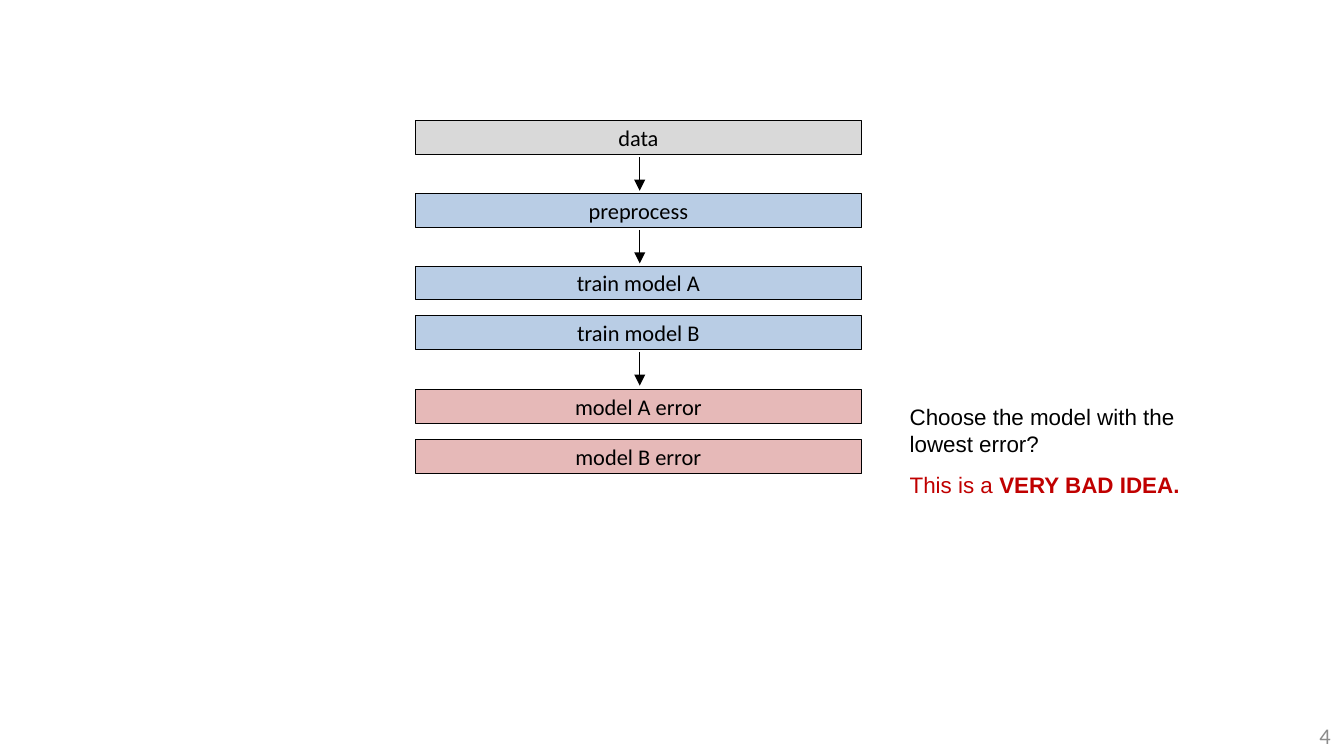
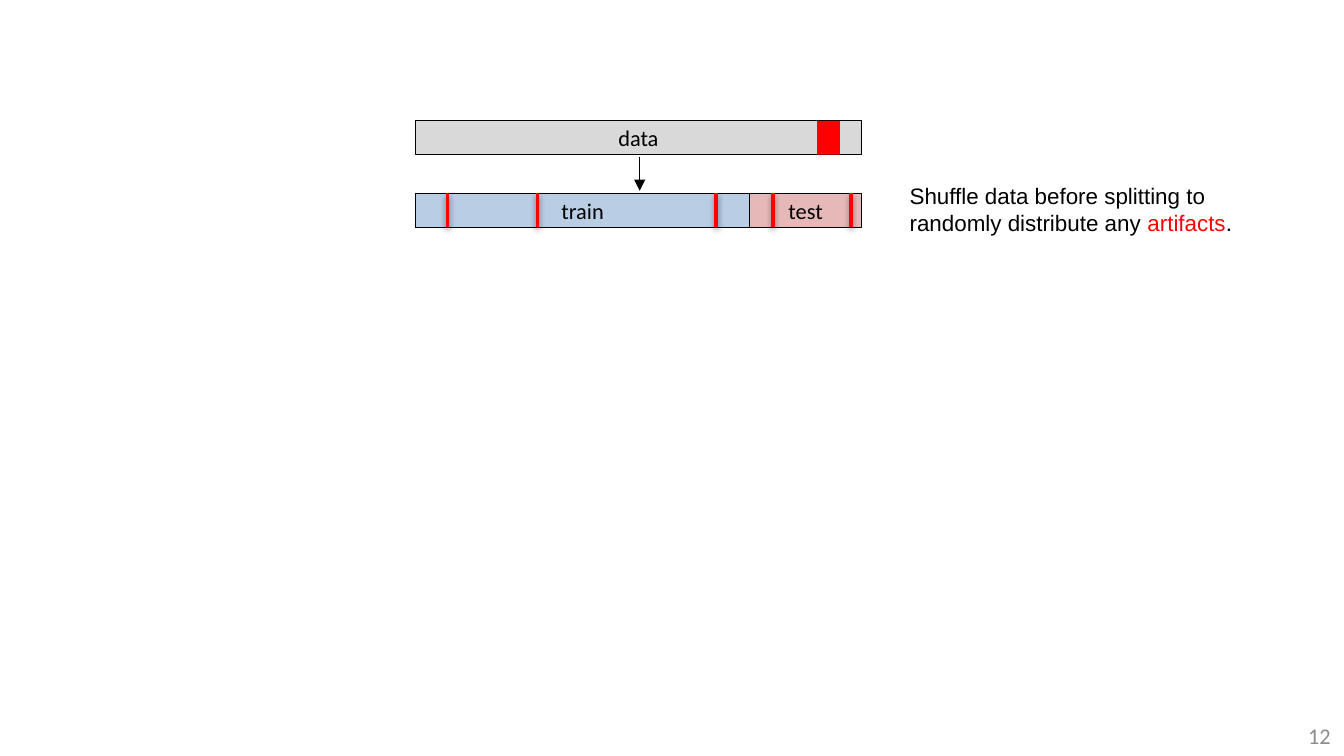
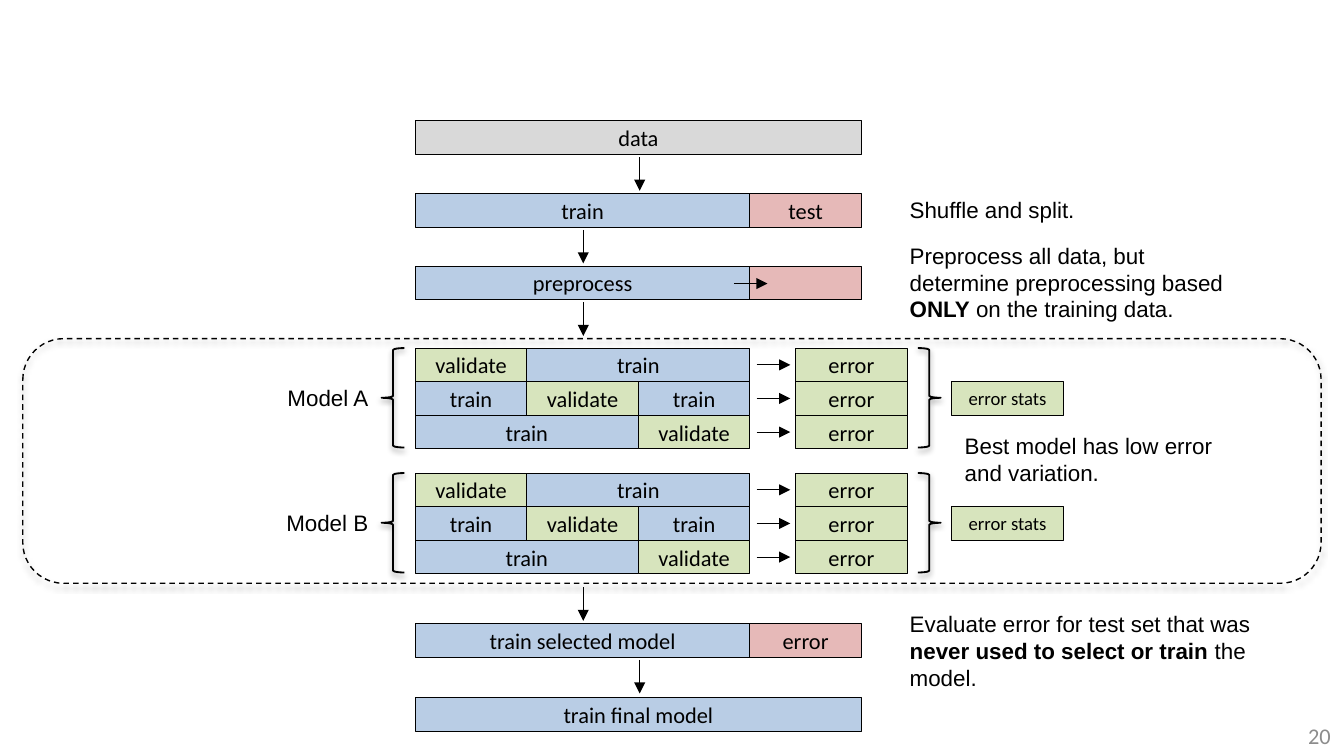
"""Build three slides on choosing and testing models."""
from dataclasses import dataclass

import pptx
import pptx.dml.color
import pptx.enum.dml
import pptx.enum.shapes
import pptx.enum.text
import pptx.oxml
import pptx.oxml.ns
import pptx.util
from pptx.util import Inches

BLACK, GRAY, BLUE = "000000", "D9D9D9", "B9CDE5"
PINK, GREEN, RED, DARK, PALE = "E6B9B8", "D7E4BD", "FF0000", "C00000", "8C8C8C"
LEFT, UNIT, TALL = 3.09, 0.83, 0.25
TOP, STEP = 0.9, 0.54
REACH, GAP = 0.25, 0.27
MID, TRAIN_MID = 4.76, 4.34
NOTE_LEFT = 6.67
SHAPE = pptx.enum.shapes.MSO_SHAPE
ALIGN = pptx.enum.text.PP_ALIGN
ANCHOR = pptx.enum.text.MSO_ANCHOR


@dataclass
class Bar:
    text: str
    top: float
    fill: str
    start: float = 0
    span: float = 4
    size: int = 12


@dataclass
class Run:
    text: str
    color: str = BLACK
    bold: bool = False


@dataclass
class Note:
    runs: list[Run]
    left: float
    top: float
    width: float
    height: float
    align: ALIGN = ALIGN.LEFT
    anchor: ANCHOR = ANCHOR.TOP
    font: str = "Arial"
    grow: bool = True


def rgb(code: str):
    return pptx.dml.color.RGBColor.from_string(code)


def row(index: int) -> float:
    return TOP + index * STEP


def add_shadow(item, alpha: int = 38, drop: float = 1.6) -> None:
    effects = item._element.spPr.find(pptx.oxml.ns.qn("a:effectLst"))
    effects.append(pptx.oxml.parse_xml(
        f'<a:outerShdw {pptx.oxml.ns.nsdecls("a")} blurRad="{pptx.util.Pt(3.1)}" '
        f'dist="{pptx.util.Pt(drop)}" dir="5400000" rotWithShape="0">'
        f'<a:srgbClr val="{BLACK}"><a:alpha val="{alpha * 1000}"/></a:srgbClr>'
        '</a:outerShdw>'))


def add_shape(slide, kind, left: float, top: float, width: float, height: float,
              fill: str | None = None, line: float = 0):
    shape = slide.shapes.add_shape(
        kind, Inches(left), Inches(top), Inches(width), Inches(height))
    shape.shadow.inherit = False
    if fill:
        shape.fill.solid()
        shape.fill.fore_color.rgb = rgb(fill)
    else:
        shape.fill.background()
    if line:
        shape.line.color.rgb = rgb(BLACK)
        shape.line.width = pptx.util.Pt(line)
    else:
        shape.line.fill.background()
    return shape


def add_bar(slide, bar: Bar) -> None:
    shape = add_shape(slide, SHAPE.RECTANGLE, LEFT + bar.start * UNIT, bar.top,
                      bar.span * UNIT, TALL, bar.fill, 0.5)
    if not bar.text:
        return
    frame = shape.text_frame
    frame.margin_top = frame.margin_bottom = 0
    frame.margin_left = frame.margin_right = 0
    frame.vertical_anchor = ANCHOR.MIDDLE
    para = frame.paragraphs[0]
    para.text = bar.text
    para.alignment = ALIGN.CENTER
    para.font.name = "Calibri"
    para.font.size = pptx.util.Pt(bar.size)
    para.font.color.rgb = rgb(BLACK)


def add_note(slide, note: Note) -> None:
    box = slide.shapes.add_textbox(Inches(note.left), Inches(note.top),
                                   Inches(note.width), Inches(note.height))
    frame = box.text_frame
    frame.word_wrap = True
    frame.vertical_anchor = note.anchor
    if note.grow:
        frame.auto_size = pptx.enum.text.MSO_AUTO_SIZE.SHAPE_TO_FIT_TEXT
    para = frame.paragraphs[0]
    para.alignment = note.align
    para.font.name = note.font
    para.font.size = pptx.util.Pt(12)
    para.font.color.rgb = rgb(note.runs[0].color)
    for part in note.runs:
        run = para.add_run()
        run.text = part.text
        if part.bold:
            run.font.bold = True
        if part.color != note.runs[0].color:
            run.font.color.rgb = rgb(part.color)


def add_line(slide, left: float, top: float, right: float, bottom: float,
             color: str = BLACK, width: float = 0.5):
    line = slide.shapes.add_connector(
        pptx.enum.shapes.MSO_CONNECTOR.STRAIGHT,
        Inches(left), Inches(top), Inches(right), Inches(bottom))
    line.line.color.rgb = rgb(color)
    line.line.width = pptx.util.Pt(width)
    line._element.spPr.append(pptx.oxml.parse_xml(
        f'<a:effectLst {pptx.oxml.ns.nsdecls("a")}/>'))
    return line


def add_arrow(slide, left: float, top: float, across: bool = False) -> None:
    end = (left + REACH, top) if across else (left, top + REACH)
    arrow = add_line(slide, left, top, *end)
    arrow.line._get_or_add_ln().append(pptx.oxml.parse_xml(
        f'<a:tailEnd {pptx.oxml.ns.nsdecls("a")} type="triangle"/>'))


def add_brace(slide, left: float, top: float, flip: bool = False) -> None:
    brace = add_shape(slide, SHAPE.RIGHT_BRACE, left, top, 0.17, 0.74, line=1)
    if flip:
        brace._element.spPr.get_or_add_xfrm().set("flipH", "1")
    add_shadow(brace)


def add_page(deck, number: int):
    """Add a slide with its number and the data bar that opens each flow."""
    slide = deck.slides.add_slide(deck.slide_layouts[6])
    add_note(slide, Note([Run(str(number), PALE)], 7.75, 5.32, 2.25, 0.3,
                         ALIGN.RIGHT, ANCHOR.MIDDLE, "Calibri", False))
    add_bar(slide, Bar("data", TOP, GRAY))
    add_arrow(slide, MID, TOP + GAP)
    return slide


def add_split(slide) -> None:
    add_bar(slide, Bar("train", row(1), BLUE, 0, 3))
    add_bar(slide, Bar("test", row(1), PINK, 3, 1))


def add_model(slide, name: str, top: float) -> None:
    """Draw the three folds of one model with their errors."""
    folds = [
        [("validate", 0, 1), ("train", 1, 2)],
        [("train", 0, 1), ("validate", 1, 1), ("train", 2, 1)],
        [("train", 0, 2), ("validate", 2, 1)],
    ]
    for index, fold in enumerate(folds):
        level = top + index * TALL
        for text, start, span in fold:
            fill = BLUE if text == "train" else GREEN
            add_bar(slide, Bar(text, level, fill, start, span))
        add_arrow(slide, 5.63, level + TALL / 2, True)
        add_bar(slide, Bar("error", level, GREEN, 3.41, 1))
    add_brace(slide, 2.84, top, True)
    add_brace(slide, 6.83, top)
    add_bar(slide, Bar("error stats", top + TALL, GREEN, 4.81, 1, 10))
    add_note(slide, Note([Run(name)], 2.01, top + 0.22, 0.83, 0.3, ALIGN.RIGHT))


def build_naive(deck) -> None:
    slide = add_page(deck, 4)
    for bar in (Bar("preprocess", row(1), BLUE),
                Bar("train model A", row(2), BLUE),
                Bar("train model B", 2.35, BLUE),
                Bar("model A error", 2.9, PINK),
                Bar("model B error", 3.27, PINK)):
        add_bar(slide, bar)
    for top in (row(1), 2.35):
        add_arrow(slide, MID, top + GAP)
    add_note(slide, Note([Run("Choose the model with the lowest error?")],
                         NOTE_LEFT, 2.95, 2.33, 0.5))
    add_note(slide, Note([Run("This is a ", DARK), Run("VERY BAD IDEA.", DARK, True)],
                         NOTE_LEFT, 3.46, 2.33, 0.3))


def build_shuffle(deck) -> None:
    slide = add_page(deck, 12)
    add_split(slide)
    add_note(slide, Note([Run("Shuffle data before splitting to randomly distribute any "),
                          Run("artifacts", RED), Run(".")],
                         NOTE_LEFT, 1.31, 2.67, 0.5))
    add_shape(slide, SHAPE.RECTANGLE, 6.08, TOP, 0.17, TALL, RED)
    for left in (3.33, 4, 5.33, 5.75, 6.33):
        add_shadow(add_line(slide, left, row(1) + TALL, left, row(1), RED, 2))


def build_folds(deck) -> None:
    slide = add_page(deck, 20)
    add_split(slide)
    for bar in (Bar("preprocess", row(2), BLUE, 0, 3),
                Bar("", row(2), PINK, 3, 1),
                Bar("train selected model", 4.64, BLUE, 0, 3),
                Bar("error", 4.64, PINK, 3, 1),
                Bar("train final model", 5.19, BLUE)):
        add_bar(slide, bar)
    for top in (row(1) + GAP, row(2) + GAP, 4.37):
        add_arrow(slide, TRAIN_MID, top)
    add_arrow(slide, MID, 4.64 + GAP)
    add_arrow(slide, 5.46, 2.11, True)
    frame = add_shape(slide, SHAPE.ROUNDED_RECTANGLE, 0.17, 2.52, 9.66, 1.82, line=0.75)
    frame.line.dash_style = pptx.enum.dml.MSO_LINE.DASH
    add_shadow(frame, 35, 1.8)
    add_model(slide, "Model A", 2.59)
    add_model(slide, "Model B", 3.52)
    for note in (
            Note([Run("Shuffle and split.")], NOTE_LEFT, 1.41, 2.67, 0.3),
            Note([Run("Preprocess all data, but determine preprocessing based "),
                  Run("ONLY", bold=True), Run(" on the training data.")],
                 NOTE_LEFT, 1.75, 2.58, 0.71),
            Note([Run("Best model has low error and variation.")],
                 7.08, 3.17, 2.33, 0.5),
            Note([Run("Evaluate error for test set that was "),
                  Run("never used to select or train ", bold=True), Run("the model.")],
                 NOTE_LEFT, 4.49, 2.75, 0.71)):
        add_note(slide, note)


def main() -> None:
    deck = pptx.Presentation()
    deck.slide_width = Inches(10)
    deck.slide_height = Inches(10 * 9 / 16)
    build_naive(deck)
    build_shuffle(deck)
    build_folds(deck)
    deck.save("out.pptx")


if __name__ == "__main__":
    main()
